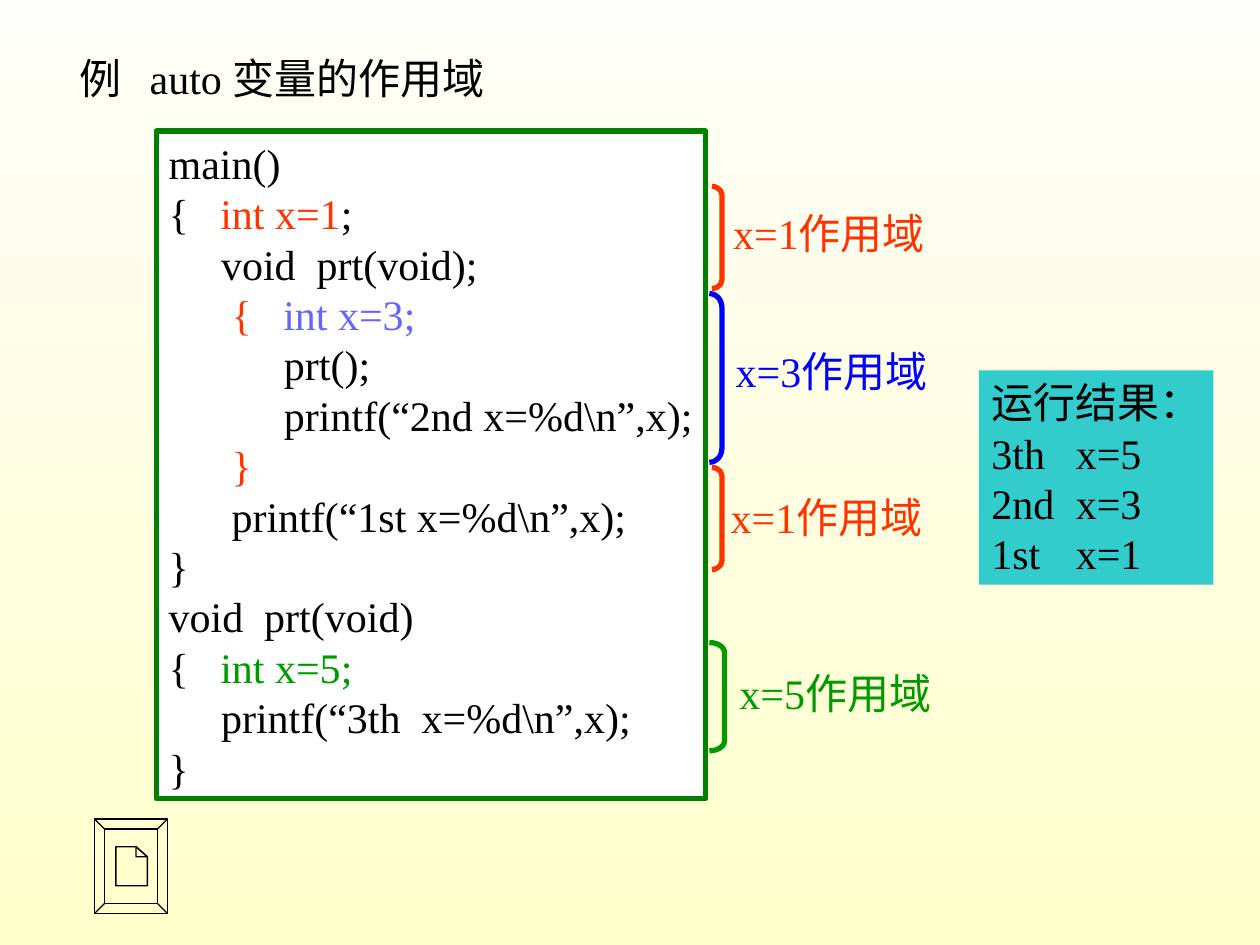
from typing import NamedTuple, Optional

from lxml.etree import SubElement
from pptx import Presentation
from pptx.dml.color import RGBColor
from pptx.enum.shapes import MSO_SHAPE as SHAPE
from pptx.enum.text import MSO_ANCHOR as ANCHOR, PP_ALIGN as ALIGN
from pptx.oxml.ns import qn
from pptx.util import Inches, Pt

BLACK = RGBColor(0x00, 0x00, 0x00)
WHITE = RGBColor(0xFF, 0xFF, 0xFF)
IVORY = RGBColor(0xFE, 0xFE, 0xF8)
CREAM = RGBColor(0xFF, 0xFF, 0xCC)
RED = RGBColor(0xFF, 0x33, 0x00)
BLUE = RGBColor(0x00, 0x00, 0xFF)
VIOLET = RGBColor(0x66, 0x66, 0xFF)
GREEN = RGBColor(0x00, 0x99, 0x00)
DARK_GREEN = RGBColor(0x00, 0x80, 0x00)
TEAL = RGBColor(0x33, 0xCC, 0xCC)


class Span(NamedTuple):
    text: str
    color: RGBColor = BLACK


class Box(NamedTuple):
    left: float
    top: float
    width: float
    height: float


class Scope(NamedTuple):
    value: int
    color: RGBColor
    bracket: Box
    curve: float
    label_left: float
    label_top: float


CODE = [
    [Span("main()")],
    [Span("{   "), Span("int x=1", RED), Span(";")],
    [Span("     void  prt(void);")],
    [Span("      "), Span("{   ", RED), Span("int x=3;", VIOLET)],
    [Span("           prt();")],
    [Span("           printf(“2nd x=%d\\n”,x);")],
    [Span("      "), Span("}", RED)],
    [Span("      printf(“1st x=%d\\n”,x);")],
    [Span("}")],
    [Span("void  prt(void)")],
    [Span("{   "), Span("int x=5;", GREEN)],
    [Span("     printf(“3th  x=%d\\n”,x);")],
    [Span("}")],
]
RESULTS = ["运行结果：", "3th\tx=5", "2nd\tx=3", "1st\tx=1"]
SCOPES = [
    Scope(1, RED, Box(5.65, 1.48, 0.08, 0.81), 0.85, 5.68, 1.6),
    Scope(1, RED, Box(5.65, 3.71, 0.08, 0.81), 0.85, 5.66, 3.85),
    Scope(3, BLUE, Box(5.63, 2.33, 0.1, 1.34), 1.1, 5.7, 2.69),
    Scope(5, GREEN, Box(5.63, 5.1, 0.12, 0.86), 0.65, 5.73, 5.25),
]


def inches(box: Box) -> list:
    return [Inches(v) for v in box]


def write(sp, lines: list, tab: Optional[float] = None, align=ALIGN.LEFT) -> None:
    tf = sp.text_frame
    tf.word_wrap = True
    tf.vertical_anchor = ANCHOR.TOP
    tf.margin_left = 0 if align == ALIGN.CENTER else Inches(0.1)
    tf.margin_right = 0
    for i, spans in enumerate(lines):
        p = tf.add_paragraph() if i else tf.paragraphs[0]
        p.alignment = align
        if tab is not None:
            tabs = SubElement(p._p.get_or_add_pPr(), qn("a:tabLst"))
            SubElement(tabs, qn("a:tab"), pos=str(Inches(tab)), algn="l")
        p.font.name = "Times New Roman"
        p.font.size = Pt(24)
        colors = {span.color for span in spans}
        if len(colors) == 1:
            p.font.color.rgb = spans[0].color
        for span in spans:
            r = p.add_run()
            r.text = span.text
            if len(colors) > 1:
                r.font.color.rgb = span.color


def add_panel(s, box: Box, fill: RGBColor, line: Optional[RGBColor] = None):
    sp = s.shapes.add_shape(SHAPE.RECTANGLE, *inches(box))
    sp.shadow.inherit = False
    sp.fill.solid()
    sp.fill.fore_color.rgb = fill
    if line is None:
        sp.line.fill.background()
    else:
        sp.line.color.rgb = line
        sp.line.width = Pt(3)
    return sp


def add_scope(s, scope: Scope) -> None:
    sp = s.shapes.add_shape(SHAPE.RIGHT_BRACKET, *inches(scope.bracket))
    sp.adjustments[0] = scope.curve
    sp.shadow.inherit = False
    sp.fill.background()
    sp.line.color.rgb = scope.color
    sp.line.width = Pt(3)
    label = s.shapes.add_textbox(*inches(Box(scope.label_left, scope.label_top, 1.8, 0.5)))
    write(label, [[Span(f"x={scope.value}作用域", scope.color)]], align=ALIGN.CENTER)


def add_document_button(s, box: Box, bevel: float) -> None:
    left, top = box.left, box.top
    right, bottom = left + box.width, top + box.height
    outer = [(left, top), (right, top), (right, bottom), (left, bottom)]
    inner = [(left + bevel, top + bevel), (right - bevel, top + bevel),
             (right - bevel, bottom - bevel), (left + bevel, bottom - bevel)]
    page = [(0.92, 6.72), (1.08, 6.72), (1.17, 6.8), (1.17, 7.03), (0.92, 7.03)]
    fold = [(1.08, 6.72), (1.17, 6.8), (1.08, 6.8)]
    fb = s.shapes.build_freeform(Inches(left), Inches(top))
    contours = [(c, True) for c in (outer, inner, page, fold)]
    contours += [(edge, False) for edge in zip(outer, inner)]
    for points, close in contours:
        start, *rest = [(Inches(x), Inches(y)) for x, y in points]
        fb.move_to(*start)
        fb.add_line_segments(rest, close=close)
    sp = fb.convert_to_shape()
    sp.shadow.inherit = False
    sp.fill.background()
    sp.line.color.rgb = BLACK
    sp.line.width = Pt(0.75)


def main() -> None:
    prs = Presentation()
    prs.slide_width, prs.slide_height = Inches(10), Inches(7.5)
    s = prs.slides.add_slide(prs.slide_layouts[6])
    fill = s.background.fill
    fill.gradient()
    fill.gradient_angle = 270
    for stop, color in zip(fill.gradient_stops, (IVORY, CREAM)):
        stop.color.rgb = color

    add_document_button(s, Box(0.75, 6.5, 0.58, 0.75), 0.08)
    title = s.shapes.add_textbox(*inches(Box(0.53, 0.37, 3.5, 0.5)))
    write(title, [[Span("例\tauto 变量的作用域")]], tab=0.56)
    write(add_panel(s, Box(1.24, 1.04, 4.36, 5.3), WHITE, DARK_GREEN), CODE)
    results = add_panel(s, Box(7.77, 2.94, 1.86, 1.7), TEAL)
    write(results, [[Span(text)] for text in RESULTS], tab=0.67)
    for scope in SCOPES:
        add_scope(s, scope)
    prs.save("out.pptx")


if __name__ == "__main__":
    main()
